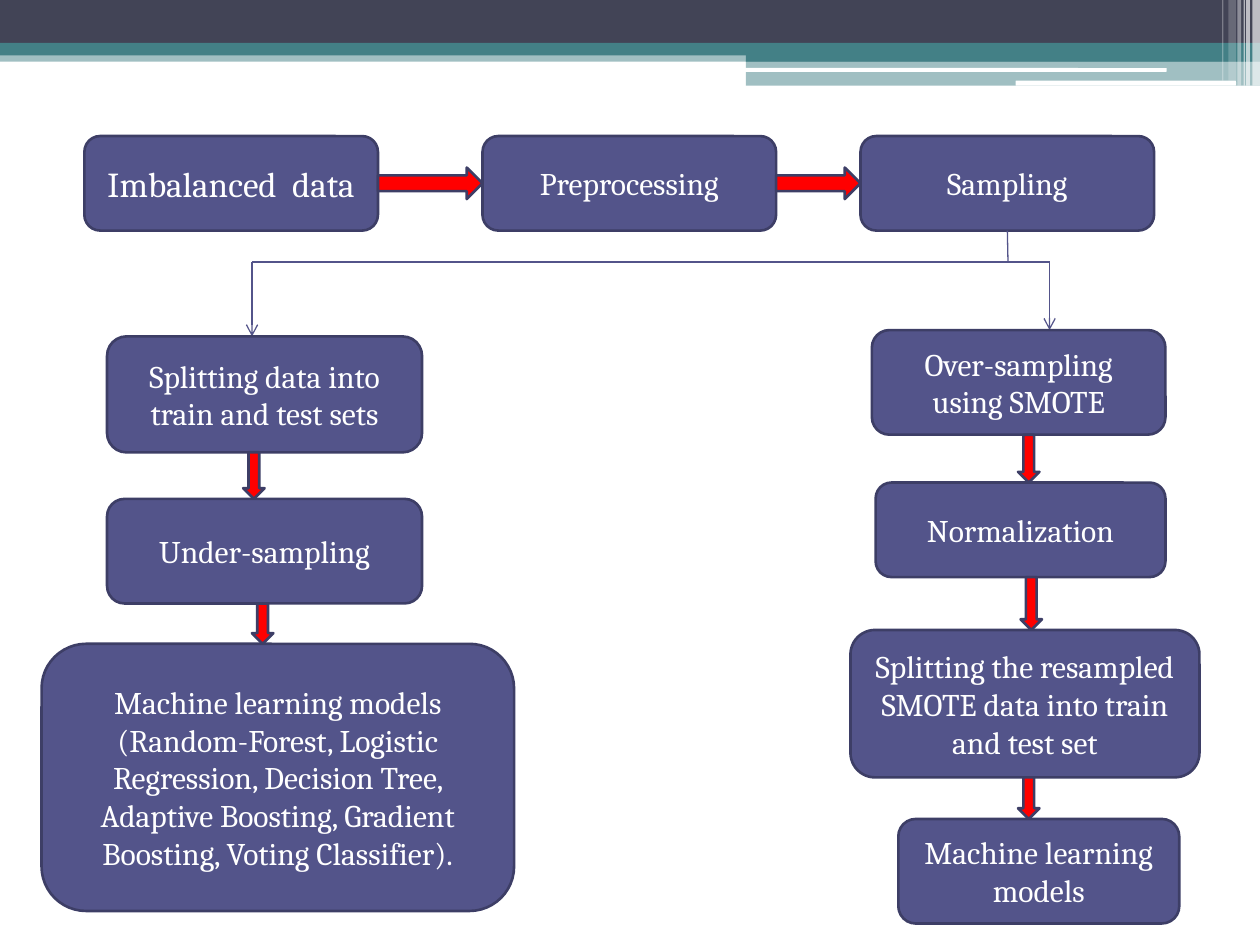
from dataclasses import dataclass

from lxml import etree
from pptx import Presentation
from pptx.dml.color import RGBColor
from pptx.enum.shapes import MSO_CONNECTOR, MSO_SHAPE
from pptx.enum.text import MSO_ANCHOR, PP_ALIGN
from pptx.oxml.ns import qn
from pptx.util import Inches, Pt

RECT = MSO_SHAPE.RECTANGLE
ROUND = MSO_SHAPE.ROUNDED_RECTANGLE
RIGHT = MSO_SHAPE.RIGHT_ARROW
DOWN = MSO_SHAPE.DOWN_ARROW
STRAIGHT = MSO_CONNECTOR.STRAIGHT
MIDDLE = MSO_ANCHOR.MIDDLE
CENTER = PP_ALIGN.CENTER
BOTTOM = 2


@dataclass(frozen=True)
class Theme:
    dark: str = "424456"
    teal: str = "438086"
    white: str = "FFFFFF"
    node: str = "53548A"
    edge: str = "3D3E66"
    arrow: str = "FF0000"
    font: str = "Cambria"
    body: int = 18
    lead: int = 20
    border: float = 1.5
    thin: float = 0.75


THEME = Theme()


def add_part(slide, kind, box, fill, line=None, alpha=100):
    part = slide.shapes.add_shape(kind, *(Inches(n) for n in box))
    part.shadow.inherit = False
    part.fill.solid()
    part.fill.fore_color.rgb = RGBColor.from_string(fill)
    if alpha < 100:
        color = part.fill._xPr.find(".//" + qn("a:srgbClr"))
        etree.SubElement(color, qn("a:alpha"), val=str(alpha * 1000))
    if line:
        part.line.color.rgb = RGBColor.from_string(line)
        part.line.width = Pt(THEME.border)
    else:
        part.line.fill.background()
    return part


def add_node(slide, box, text, size=THEME.body):
    node = add_part(slide, ROUND, box, THEME.node, THEME.edge)
    frame = node.text_frame
    frame.word_wrap = True
    frame.vertical_anchor = MIDDLE
    frame.text = text
    para = frame.paragraphs[0]
    para.alignment = CENTER
    font = para.runs[0].font
    font.name = THEME.font
    font.size = Pt(size)
    font.color.rgb = RGBColor.from_string(THEME.white)
    return node


def add_line(slide, start, end, head=False):
    ends = (Inches(n) for n in (*start, *end))
    line = slide.shapes.add_connector(STRAIGHT, *ends)
    line.line.color.rgb = RGBColor.from_string(THEME.node)
    line.line.width = Pt(THEME.thin)
    if head:
        etree.SubElement(line.line._get_or_add_ln(), qn("a:tailEnd"), type="arrow")
    etree.SubElement(line._element.spPr, qn("a:effectLst"))
    return line


def add_header(slide, box):
    """Draw the layered bands, the white rules and the stripes at the right."""
    left, top, width, height = box
    right = left + width
    half = 4.08
    bands = (
        (left, 0.4, width, 0.09, THEME.teal, 50),
        (left, 0, width, 0.34, THEME.dark, 100),
        (left, 0.34, width, 0.1, THEME.teal, 100),
        (right - half, 0.39, half, 0.1, THEME.teal, 100),
        (right - half, 0.48, half, 0.2, THEME.teal, 50),
    )
    for x, y, w, h, fill, alpha in bands:
        add_part(slide, RECT, (x, top + y, w, h), fill, alpha=alpha)
    for x, y, w, h in ((5.91, 0.54, 3.35, 0.03), (8.06, 0.64, 1.75, 0.04)):
        add_part(slide, ROUND, (left + x, top + y, w, h), THEME.white)
    stripes = (
        (0.06, 0.06, height, 65), (0.11, 0.03, height, 65),
        (0.13, 0.01, height, 60), (0.18, 0.03, height, 40),
        (0.25, 0.06, height - 0.04, 20), (0.3, 0.01, height - 0.04, 30),
    )
    for inset, w, h, alpha in stripes:
        add_part(slide, RECT, (right - inset, top, w, h), THEME.white, alpha=alpha)


def add_row(slide, box, steps):
    """Draw steps of (offset, text, size) joined by right arrows; return the last."""
    left, top, width, height = box
    wide, thick = 2.33, 0.25
    for x, text, size in steps:
        node = add_node(slide, (left + x, top, wide, height), text, size)
    for (x, *_), (after, *_) in zip(steps, steps[1:]):
        start = x + wide
        area = (left + start, top + (height - thick) / 2, after - start, thick)
        add_part(slide, RIGHT, area, THEME.arrow, THEME.edge)
    return node


def add_column(slide, box, steps, arrows):
    """Draw steps of (x, y, width, height, text), offset from the box's corner.

    Each entry of arrows is the left offset of the arrow to the next step.
    """
    left, top, *_ = box
    thick = 0.17
    for x, y, w, h, text in steps:
        add_node(slide, (left + x, top + y, w, h), text)
    for above, below, x in zip(steps, steps[1:], arrows):
        start = above[1] + above[3]
        area = (left + x, top + start, thick, below[1] - start)
        add_part(slide, DOWN, area, THEME.arrow, THEME.edge)


def add_fork(slide, box, source, drops):
    """Lead from the source down to a bar, then to the depth of each drop."""
    left, top, width, height = box
    right = left + width
    stem = add_line(slide, (8, top - 0.25), (8, top))
    stem.begin_connect(source, BOTTOM)
    add_line(slide, (left, top), (right, top))
    for x, drop in zip((left, right), drops):
        add_line(slide, (x, top), (x, top + drop), head=True)


def main():
    deck = Presentation()
    deck.slide_width, deck.slide_height = Inches(10), Inches(7.5)
    slide = deck.slides.add_slide(deck.slide_layouts[6])

    add_header(slide, (0, 0, 10, 0.68))
    source = add_row(slide, (0.67, 1.08, 8.49, 0.75), (
        (0, "Imbalanced  data", THEME.lead),
        (3.16, "Preprocessing", THEME.body),
        (6.16, "Sampling", THEME.body),
    ))
    add_fork(slide, (2, 2.08, 6.33, 0.59), source, (0.59, 0.54))
    add_column(slide, (0.33, 2.67, 3.75, 4.56), (
        (0.52, 0, 2.5, 0.92, "Splitting data into train and test sets"),
        (0.52, 1.29, 2.5, 0.83, "Under-sampling"),
        (0, 2.44, 3.75, 2.12,
         "Machine learning models (Random-Forest, Logistic Regression, "
         "Decision Tree, Adaptive Boosting, Gradient Boosting, "
         "Voting Classifier)."),
    ), (1.6, 1.67))
    add_column(slide, (6.75, 2.62, 2.77, 4.71), (
        (0.17, 0, 2.33, 0.83, "Over-sampling using SMOTE"),
        (0.2, 1.21, 2.3, 0.75, "Normalization"),
        (0, 2.38, 2.77, 1.17,
         "Splitting the resampled SMOTE data into train and test set"),
        (0.38, 3.88, 2.23, 0.83, "Machine learning models"),
    ), (1.33, 1.35, 1.33))
    deck.save("out.pptx")


if __name__ == "__main__":
    main()
